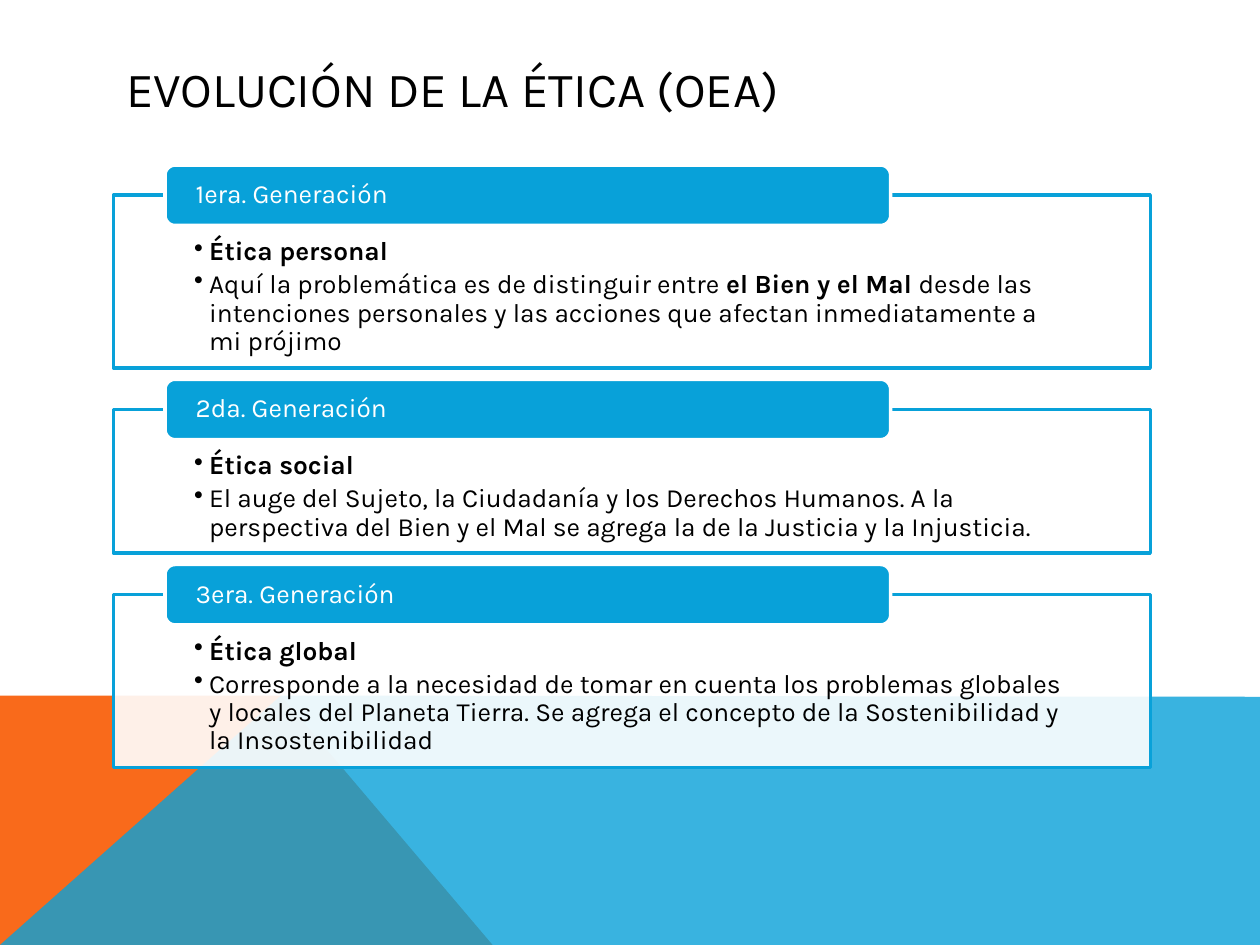
from dataclasses import dataclass

from lxml import etree
from pptx import Presentation
from pptx import util as u
from pptx.dml.color import RGBColor
from pptx.enum import shapes, text
from pptx.oxml.ns import qn


@dataclass(frozen=True)
class Theme:
    font: str = "Karla"
    blue: str = "08A1D9"
    orange: str = "F96A1B"
    white: str = "FFFFFF"
    black: str = "000000"
    title_size: float = 28
    text_size: float = 15
    line_width: float = 2


PANEL_LEFT, PANEL_WIDTH, PANEL_GAP = 0.9, 8.23, 0.33
FIRST_PANEL_TOP = 1.55
TAB_LEFT, TAB_WIDTH, TAB_HEIGHT = 1.31, 5.76, 0.48

ORANGE_WEDGE = [(0, 7.5), (0, 5.52), (2.23, 5.52), (3.91, 7.5)]
BLUE_BAND = [(0, 7.5), (2.23, 5.52), (10, 5.53), (10, 7.5)]

# Heading, panel height, then paragraphs as lists of (words, bold)
GENERATIONS = [
    ("1era. Generación", 1.37, [
        [("Ética personal", True)],
        [("Aquí la problemática es de distinguir entre ", False),
         ("el Bien y el Mal ", True),
         ("desde las intenciones personales y las acciones que afectan "
          "inmediatamente a mi prójimo", False)],
    ]),
    ("2da. Generación", 1.14, [
        [("Ética social", True)],
        [("El auge del Sujeto, la Ciudadanía y los Derechos Humanos. A la "
          "perspectiva del Bien y el Mal se agrega la de la Justicia y la "
          "Injusticia.", False)],
    ]),
    ("3era. Generación", 1.37, [
        [("Ética global", True)],
        [("Corresponde a la necesidad de tomar en cuenta los problemas "
          "globales y locales del Planeta Tierra. Se agrega el concepto de la "
          "Sostenibilidad y la Insostenibilidad", False)],
    ]),
]


class SlideBuilder:
    def __init__(self, slide, theme):
        self.slide = slide
        self.theme = theme

    def paint(self, shape, fill, line=None, opacity=100):
        shape.shadow.inherit = False
        shape.fill.solid()
        shape.fill.fore_color.rgb = RGBColor.from_string(fill)
        if opacity < 100:
            color = shape.fill._xPr.find(qn("a:solidFill"))[0]
            etree.SubElement(color, qn("a:alpha"), val=str(opacity * 1000))
        if line:
            shape.line.color.rgb = RGBColor.from_string(line)
            shape.line.width = u.Pt(self.theme.line_width)
        else:
            shape.line.fill.background()

    def set_text(self, frame, paragraphs, size, color,
                 insets=(0.1, 0.05, 0.1, 0.05), anchor=text.MSO_ANCHOR.MIDDLE,
                 bullet=False, spacing=None, after=0):
        """Fill a text frame with paragraphs, each a list of (words, bold)."""
        frame.word_wrap = True
        frame.auto_size = text.MSO_AUTO_SIZE.NONE
        frame.vertical_anchor = anchor
        (frame.margin_left, frame.margin_top,
         frame.margin_right, frame.margin_bottom) = map(u.Inches, insets)
        for index, runs in enumerate(paragraphs):
            paragraph = frame.add_paragraph() if index else frame.paragraphs[0]
            if bullet:
                self.add_bullet(paragraph)
            paragraph.alignment = text.PP_ALIGN.LEFT
            paragraph.space_after = u.Pt(after)
            if spacing:
                paragraph.line_spacing = spacing
            for words, bold in runs:
                run = paragraph.add_run()
                run.text = words
                run.font.name = self.theme.font
                run.font.size = u.Pt(size)
                run.font.bold = bold
                run.font.color.rgb = RGBColor.from_string(color)

    def add_bullet(self, paragraph, indent=0.12):
        properties = paragraph._p.get_or_add_pPr()
        properties.set("marL", str(u.Inches(indent)))
        properties.set("indent", str(-u.Inches(indent)))
        etree.SubElement(properties, qn("a:buChar"), char="•")

    def polygon(self, points, fill, opacity=100):
        start, *rest = [(u.Inches(x), u.Inches(y)) for x, y in points]
        outline = self.slide.shapes.build_freeform(*start)
        outline.add_line_segments(rest, close=True)
        self.paint(outline.convert_to_shape(), fill, opacity=opacity)

    def box(self, preset, left, top, width, height, **look):
        shape = self.slide.shapes.add_shape(
            preset, *map(u.Inches, (left, top, width, height)))
        self.paint(shape, **look)
        return shape

    def title(self, words):
        title = self.slide.shapes.title
        title.left, title.top, title.width, title.height = map(
            u.Inches, (0.9, 0.4, 8.22, 0.6))
        self.set_text(title.text_frame, [[(words, False)]],
                      self.theme.title_size, self.theme.black)

    def generation(self, top, height, heading, points):
        theme = self.theme
        panel = self.box(shapes.MSO_SHAPE.RECTANGLE, PANEL_LEFT, top,
                         PANEL_WIDTH, height, fill=theme.white,
                         line=theme.blue, opacity=90)
        self.set_text(panel.text_frame, points, theme.text_size, theme.black,
                      insets=(0.64, 0.34, 0.64, 0.12),
                      anchor=text.MSO_ANCHOR.TOP,
                      bullet=True, spacing=0.9, after=2.6)
        tab = self.box(shapes.MSO_SHAPE.ROUNDED_RECTANGLE, TAB_LEFT,
                       top - TAB_HEIGHT / 2, TAB_WIDTH, TAB_HEIGHT,
                       fill=theme.blue, line=theme.white)
        self.set_text(tab.text_frame, [[(heading, False)]], theme.text_size,
                      theme.white, insets=(0.22, 0, 0.22, 0), spacing=0.9)


def main():
    deck = Presentation()
    deck.slide_width, deck.slide_height = u.Inches(10), u.Inches(7.5)
    theme = Theme()
    title_only = deck.slide_layouts[5]
    builder = SlideBuilder(deck.slides.add_slide(title_only), theme)

    builder.polygon(ORANGE_WEDGE, theme.orange)
    builder.polygon(BLUE_BAND, theme.blue, opacity=80)
    builder.title("EVOLUCIÓN DE LA ÉTICA (OEA)")

    top = FIRST_PANEL_TOP
    for heading, height, points in GENERATIONS:
        builder.generation(top, height, heading, points)
        top += height + PANEL_GAP

    deck.save("out.pptx")


if __name__ == "__main__":
    main()
